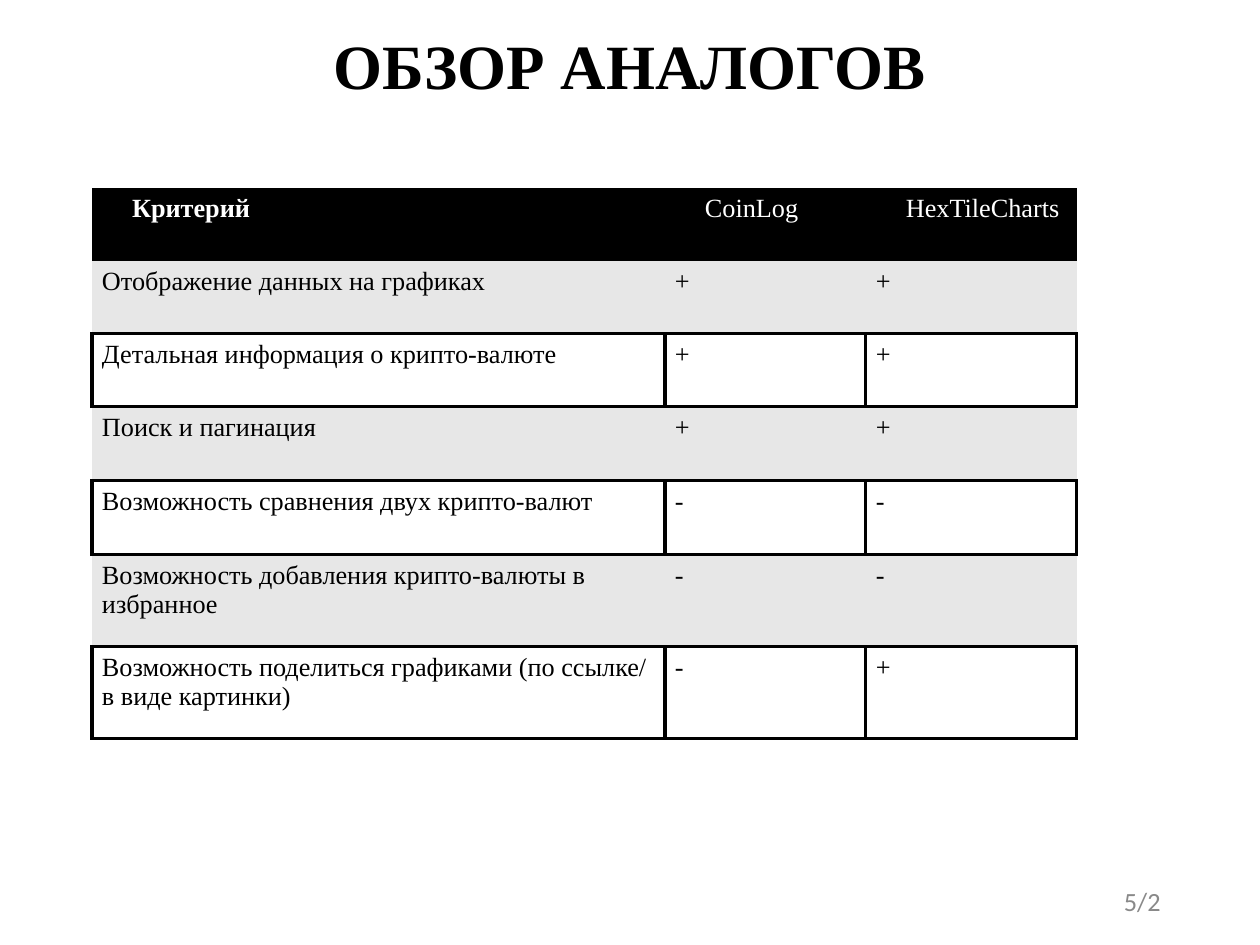
from lxml.etree import SubElement
from pptx import Presentation
from pptx.dml.color import RGBColor
from pptx.enum.text import MSO_ANCHOR as Anchor, PP_ALIGN as Align
from pptx.oxml.ns import qn
from pptx.util import Emu, Pt

BLACK = RGBColor(0x00, 0x00, 0x00)
WHITE = RGBColor(0xFF, 0xFF, 0xFF)
BAND = RGBColor(0xE7, 0xE7, 0xE7)
GREY = RGBColor(0x89, 0x89, 0x89)
SERIF = "Times New Roman"
NO_GRID = "{2D5ABB26-0587-4C30-8999-92F81FD0307C}"

ROWS = [
    ("Критерий", "CoinLog", "HexTileCharts"),
    ("Отображение данных на графиках", "+", "+"),
    ("Детальная информация о крипто-валюте", "+", "+"),
    ("Поиск и пагинация", "+", "+"),
    ("Возможность сравнения двух крипто-валют", "-", "-"),
    ("Возможность добавления крипто-валюты в избранное", "-", "-"),
    ("Возможность поделиться графиками (по ссылке/ в виде картинки)", "-", "+"),
]
WIDTHS = [573, 201, 211]
HEIGHTS = [73] * 3 + [74] * 2 + [92] * 2


def px(n):
    """Turn pixels (126 to the inch) into EMU."""
    return Emu(round(n * 914400 / 126))


def style(par, name, size, color, bold=False):
    font = par.font
    font.name, font.size, font.bold = name, Pt(size), bold
    font.color.rgb = color


deck = Presentation()
deck.slide_width, deck.slide_height = px(1260), px(945)
slide = deck.slides.add_slide(deck.slide_layouts[5])

# Title
title = slide.shapes.title
title.left, title.top, title.width, title.height = px(0), px(0), px(1260), px(139)
title.text_frame.text = "ОБЗОР АНАЛОГОВ"
title.text_frame.vertical_anchor = Anchor.MIDDLE
head = title.text_frame.paragraphs[0]
head.alignment, head.line_spacing = Align.CENTER, 0.9
style(head, SERIF, 36, BLACK, True)

# Comparison table
frame = slide.shapes.add_table(len(ROWS), len(WIDTHS), px(92), px(188),
                               px(sum(WIDTHS)), px(sum(HEIGHTS)))
table = frame.table
table.horz_banding = False
table._tbl.tblPr.find(qn("a:tableStyleId")).text = NO_GRID
for col, width in zip(table.columns, WIDTHS):
    col.width = px(width)

for r, texts in enumerate(ROWS):
    table.rows[r].height = px(HEIGHTS[r])
    top = r == 0
    boxed = not top and r % 2 == 0
    for c, text in enumerate(texts):
        cell = table.cell(r, c)
        cell.text = text
        cell.margin_left = cell.margin_right = px(10)
        cell.margin_top = cell.margin_bottom = px(6)
        par = cell.text_frame.paragraphs[0]
        style(par, SERIF, 15, WHITE if top else BLACK, top and c == 0)
        if top:
            par._p.get_or_add_pPr().set("marL", str(px(30)))
        if boxed:
            for side in ("L", "R", "T", "B"):
                line = SubElement(cell._tc.get_or_add_tcPr(), qn("a:ln" + side),
                                  w=str(Pt(2)))
                fill = SubElement(line, qn("a:solidFill"))
                SubElement(fill, qn("a:srgbClr"), val=str(BLACK))
        cell.fill.solid()
        cell.fill.fore_color.rgb = BLACK if top else WHITE if boxed else BAND

# Page number
page = slide.shapes.add_textbox(px(890), px(876), px(283), px(50)).text_frame
page.word_wrap = True
page.vertical_anchor = Anchor.MIDDLE
page.text = "5/2"
page.paragraphs[0].alignment = Align.RIGHT
style(page.paragraphs[0], "Calibri", 15, GREY)

deck.save("out.pptx")
